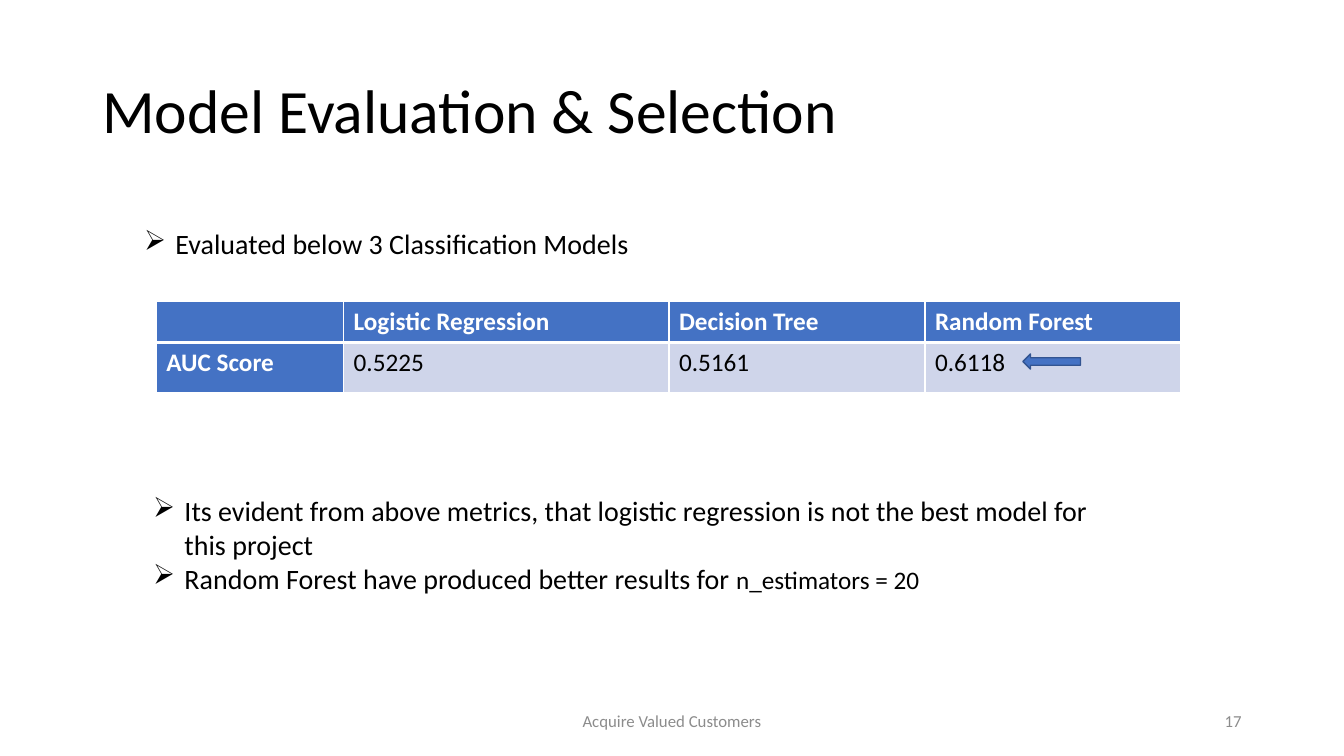
from dataclasses import dataclass

from lxml.etree import SubElement
from pptx import Presentation
from pptx.dml.color import RGBColor
from pptx.enum.shapes import MSO_SHAPE
from pptx.enum.text import MSO_ANCHOR, PP_ALIGN
from pptx.oxml import parse_xml
from pptx.oxml.ns import nsdecls, qn
from pptx.util import Cm, Pt


@dataclass(frozen=True)
class Theme:
    font: str = "Calibri"
    black: str = "000000"
    white: str = "FFFFFF"
    blue: str = "4472C4"
    dark_blue: str = "325491"
    pale_blue: str = "CFD5EA"
    grey: str = "8C8C8C"
    title: int = 44
    body: int = 20
    table: int = 18
    footer: int = 12


theme = Theme()


def add_run(paragraph, text, size, color, bold=False):
    run = paragraph.add_run()
    run.text = text
    run.font.name = theme.font
    run.font.size = Pt(size)
    run.font.bold = bold
    run.font.color.rgb = RGBColor.from_string(color)


def add_text_frame(left, top, width, height, anchor=MSO_ANCHOR.MIDDLE):
    box = slide.shapes.add_textbox(Cm(left), Cm(top), Cm(width), Cm(height))
    box.text_frame.word_wrap = True
    box.text_frame.vertical_anchor = anchor
    return box.text_frame


presentation = Presentation()
presentation.slide_width = Cm(33.87)
presentation.slide_height = Cm(19.05)
slide = presentation.slides.add_slide(presentation.slide_layouts[6])

# Title
title = add_text_frame(2.33, 1.01, 29.21, 3.68).paragraphs[0]
title.line_spacing = 0.9
add_run(title, "Model Evaluation & Selection", theme.title, theme.black)

# Score table
scores = [
    ["", "Logistic Regression", "Decision Tree", "Random Forest"],
    ["AUC Score", "0.5225", "0.5161", "0.6118"],
]
column_widths = [4.72, 8.2, 6.45, 6.45]
row_heights = [1.03, 1.27]
table = slide.shapes.add_table(
    len(scores), len(column_widths), Cm(3.94), Cm(7.6),
    Cm(sum(column_widths)), Cm(sum(row_heights))).table
for column, width in zip(table.columns, column_widths):
    column.width = Cm(width)
for row, height in zip(table.rows, row_heights):
    row.height = Cm(height)

for row_index, row_texts in enumerate(scores):
    for column_index, text in enumerate(row_texts):
        cell = table.cell(row_index, column_index)
        heading = row_index == 0 or column_index == 0
        cell.fill.solid()
        cell.fill.fore_color.rgb = RGBColor.from_string(
            theme.blue if heading else theme.pale_blue)
        if text:
            add_run(cell.text_frame.paragraphs[0], text, theme.table,
                    theme.white if heading else theme.black, heading)
        # White borders, thicker under the header row
        borders = {"lnL": 1, "lnR": 1,
                   "lnT": 3 if row_index == 1 else 1,
                   "lnB": 3 if row_index == 0 else 1}
        properties = cell._tc.get_or_add_tcPr()
        for position, (side, points) in enumerate(borders.items()):
            properties.insert(position, parse_xml(
                f'<a:{side} {nsdecls("a")} w="{Pt(points)}"><a:solidFill>'
                f'<a:srgbClr val="{theme.white}"/></a:solidFill></a:{side}>'))

# Footer and slide number
for left, width, alignment, text in [
    (11.22, 11.43, PP_ALIGN.CENTER, "Acquire Valued Customers"),
    (23.92, 7.62, PP_ALIGN.RIGHT, "17"),
]:
    paragraph = add_text_frame(left, 17.66, width, 1.01).paragraphs[0]
    paragraph.alignment = alignment
    add_run(paragraph, text, theme.footer, theme.grey)

# Bulleted statements: each paragraph is a list of (text, size) runs
statements = [
    ((3.38, 5.59, 14.22, 1.11),
     [[("Evaluated below 3 Classification Models", theme.body)]]),
    ((3.61, 12.32, 24.64, 2.82),
     [[("Its evident from above metrics, that logistic regression is not "
        "the best model for this project", theme.body)],
      [("Random Forest have produced better results for ", theme.body),
       ("n_estimators = 20", theme.table)]]),
]
for bounds, paragraphs in statements:
    frame = add_text_frame(*bounds, anchor=MSO_ANCHOR.TOP)
    for index, runs in enumerate(paragraphs):
        paragraph = frame.add_paragraph() if index else frame.paragraphs[0]
        properties = paragraph._p.get_or_add_pPr()
        properties.set("marL", str(Cm(0.79)))
        properties.set("indent", str(-Cm(0.79)))
        SubElement(properties, qn("a:buChar")).set("char", "➢")
        for text, size in runs:
            add_run(paragraph, text, size, theme.black)

# Arrow marking the best score
arrow = slide.shapes.add_shape(
    MSO_SHAPE.LEFT_ARROW, Cm(25.78), Cm(8.92), Cm(1.45), Cm(0.38))
arrow.shadow.inherit = False
arrow.fill.solid()
arrow.fill.fore_color.rgb = RGBColor.from_string(theme.blue)
arrow.line.color.rgb = RGBColor.from_string(theme.dark_blue)
arrow.line.width = Pt(1)

presentation.save("out.pptx")
